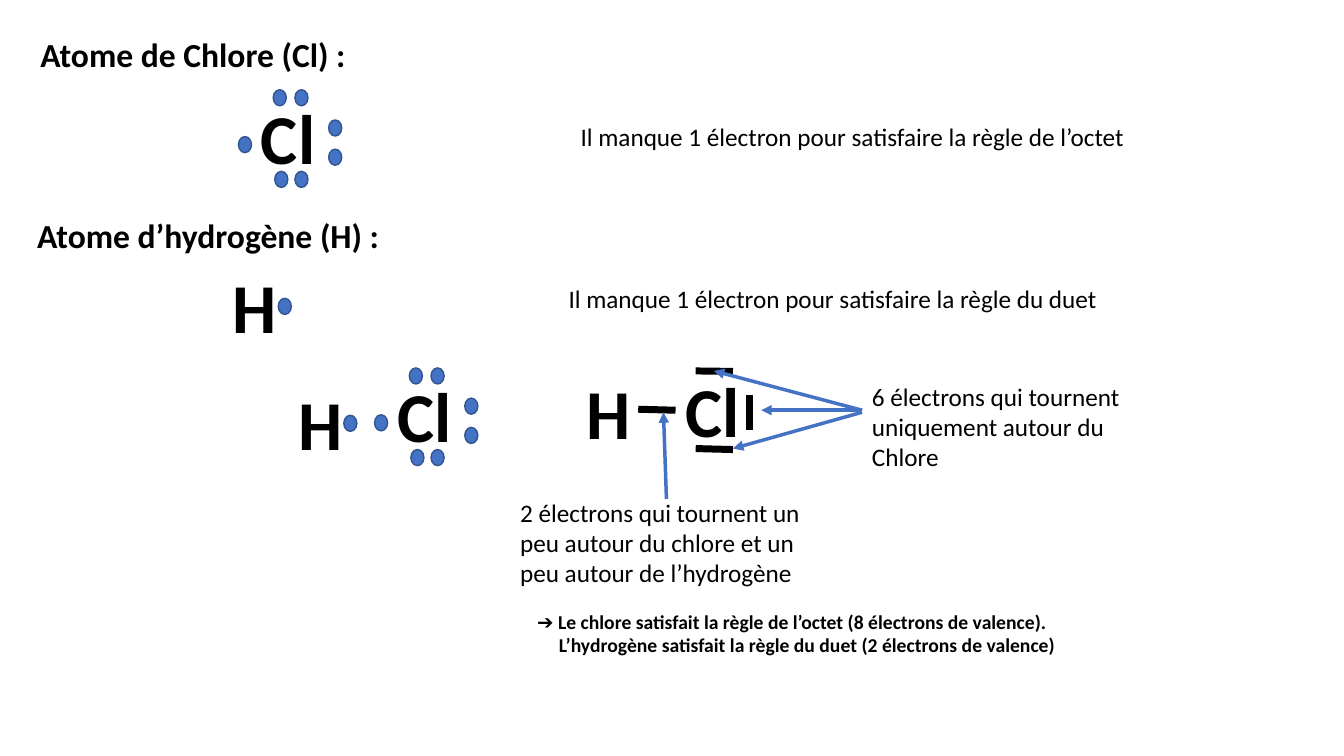
"""Builds a slide on the electron rules of chlorine and hydrogen."""
from lxml.etree import SubElement
from pptx import Presentation
from pptx.dml.color import RGBColor
from pptx.enum.shapes import MSO_CONNECTOR, MSO_SHAPE
from pptx.enum.text import MSO_ANCHOR, MSO_AUTO_SIZE, PP_ALIGN
from pptx.oxml.ns import qn
from pptx.util import Inches, Pt

COLORS = {"text": "000000", "electron": "4472C4", "outline": "325491"}
COLUMNS, ROWS = 133.3, 75
CHLORINE_PAIRS = [(2.2, 0), (4.35, 0), (7.7, 3), (7.7, 5.9), (2.35, 8.1), (4.35, 8.1)]
CHLORINE_SINGLE = (-1.25, 4.65)
HYDROGEN_SINGLE = (5.5, 3.9)


class AtomSlide:
    """Draws on one slide, with lengths in columns and rows of a tenth of an inch."""

    cell = Inches(0.1)
    font_name = "Calibri"

    def __init__(self, presentation):
        presentation.slide_width = self.length(COLUMNS)
        presentation.slide_height = self.length(ROWS)
        self.slide = presentation.slides.add_slide(presentation.slide_layouts[5])

    def length(self, cells):
        return round(cells * self.cell)

    def color(self, name):
        return RGBColor.from_string(COLORS[name])

    def set_text(self, shape, text, size, bold):
        frame = shape.text_frame
        frame.text = text
        frame.word_wrap = True
        frame.auto_size = MSO_AUTO_SIZE.NONE
        frame.vertical_anchor = MSO_ANCHOR.TOP
        for paragraph in frame.paragraphs:
            paragraph.alignment = PP_ALIGN.LEFT
            paragraph.line_spacing = 1.0
            for run in paragraph.runs:
                run.font.name = self.font_name
                run.font.size = Pt(size)
                run.font.bold = bold
                run.font.color.rgb = self.color("text")
        return shape

    def title(self, text, column, row, width, height):
        shape = self.slide.shapes.title
        shape.left, shape.top = self.length(column), self.length(row)
        shape.width, shape.height = self.length(width), self.length(height)
        self.set_text(shape, text, 24, True)

    def text(self, text, column, row, width, height, size=18, bold=False):
        box = self.slide.shapes.add_textbox(
            *map(self.length, (column, row, width, height)))
        return self.set_text(box, text, size, bold)

    def conclusion(self, text, column, row, width, height):
        box = self.text(text, column, row, width, height, 14, True)
        last = box.text_frame.paragraphs[-1]
        last._p.get_or_add_pPr().set("marL", str(self.length(2.15)))

    def electron(self, column, row):
        shape = self.slide.shapes.add_shape(
            MSO_SHAPE.OVAL, *map(self.length, (column, row, 1.3, 1.6)))
        shape.shadow.inherit = False
        shape.fill.solid()
        shape.fill.fore_color.rgb = self.color("electron")
        shape.line.color.rgb = self.color("outline")
        shape.line.width = Pt(1)

    def atom(self, symbol, column, row, electrons=()):
        self.text(symbol, column, row, 8.5, 9.4, 50, True)
        for across, down in electrons:
            self.electron(column + across, row + down)

    def line(self, start, end, color="text", width=5):
        connector = self.slide.shapes.add_connector(
            MSO_CONNECTOR.STRAIGHT, *map(self.length, (*start, *end)))
        connector.line.color.rgb = self.color(color)
        connector.line.width = Pt(width)
        SubElement(connector._element.spPr, qn("a:effectLst"))
        return connector

    def arrow(self, start, end):
        connector = self.line(start, end, "electron", 2.5)
        outline = connector._element.spPr.find(qn("a:ln"))
        SubElement(outline, qn("a:tailEnd"), type="triangle")


def main():
    presentation = Presentation()
    page = AtomSlide(presentation)
    chlorine = [*CHLORINE_PAIRS, CHLORINE_SINGLE]
    hydrogen = [HYDROGEN_SINGLE]

    page.title("Atome de Chlore (Cl) :", 3, 2.9, 34, 5)
    page.atom("Cl", 24.9, 8.9, chlorine)
    page.text("Il manque 1 électron pour satisfaire la règle de l’octet", 56.6, 11.5, 67.2, 4)

    page.text("Atome d’hydrogène (H) :", 2.7, 20.8, 39.8, 5, 24, True)
    page.atom("H", 22.1, 25.7, hydrogen)
    page.text("Il manque 1 électron pour satisfaire la règle du duet", 55.4, 27.6, 67.2, 4)

    page.atom("H", 28.6, 37.3, hydrogen)
    page.atom("Cl", 38.4, 36.5, chlorine)

    page.atom("H", 57.2, 36.2)
    page.atom("Cl", 67, 36)
    for start, end in [((63.3, 40.6), (67, 40.7)), ((69, 44.5), (72.7, 44.6)),
                       ((69, 36.8), (72.7, 36.85)), ((74.3, 39.2), (74.3, 42.7))]:
        page.line(start, end)

    page.arrow((66.1, 49.5), (65.8, 40.9))
    page.text("2 électrons qui tournent un peu autour du chlore et un peu autour de l’hydrogène",
              50.6, 48.8, 32.8, 10.1)
    for start_row, end in [(40.7, (75.5, 40.7)), (40.9, (72.7, 44.5)), (40.7, (70.8, 36.8))]:
        page.arrow((85.5, start_row), end)
    page.text("6 électrons qui tournent uniquement autour du Chlore", 85.5, 37.3, 26.7, 10.1)
    page.conclusion("➔ Le chlore satisfait la règle de l’octet (8 électrons de valence).\n"
                    "L’hydrogène satisfait la règle du duet (2 électrons de valence)",
                    52.3, 60, 80, 5.7)
    presentation.save("out.pptx")


if __name__ == "__main__":
    main()
